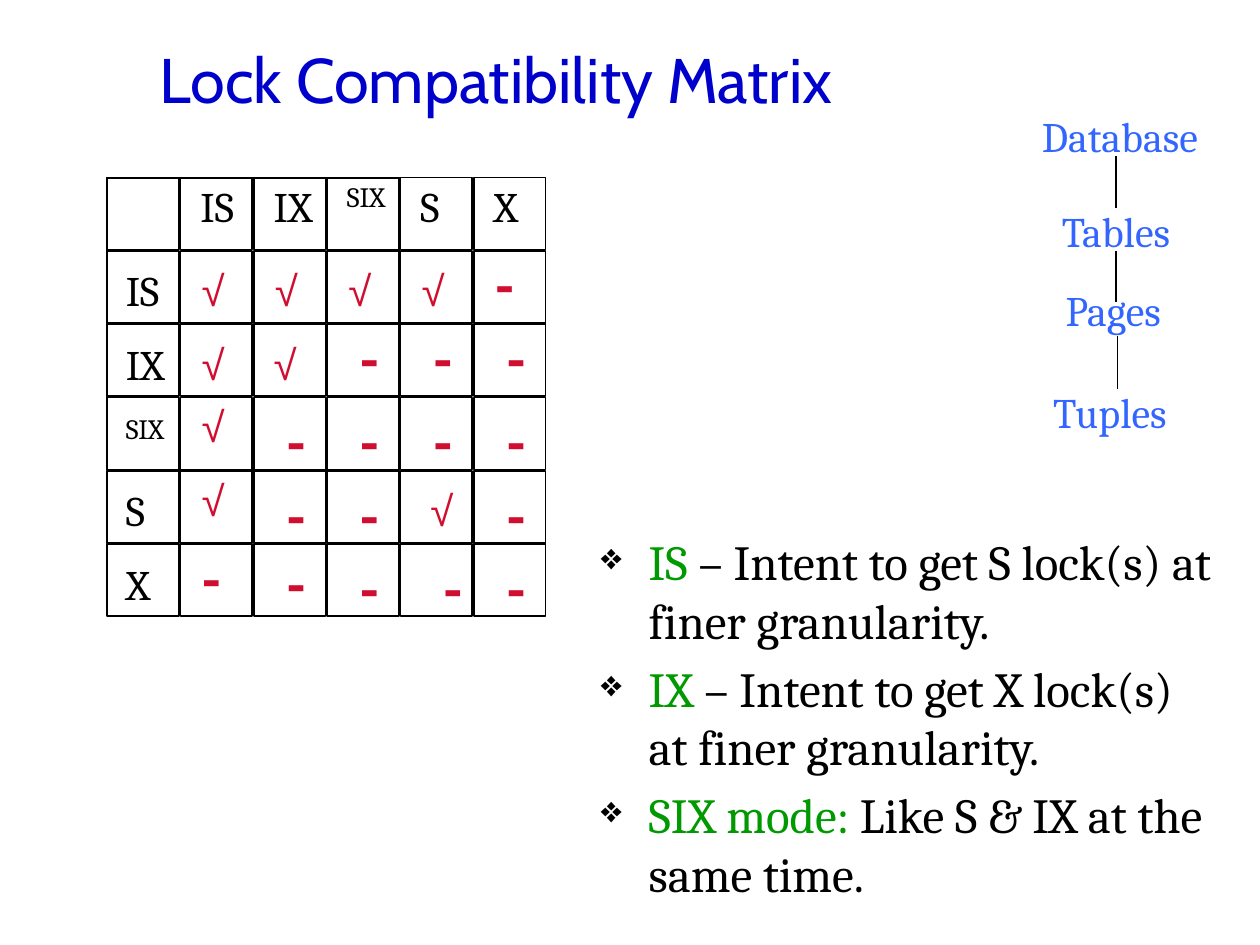
from lxml import etree
from pptx import Presentation
from pptx.dml.color import RGBColor
from pptx.enum.shapes import MSO_CONNECTOR, MSO_SHAPE
from pptx.enum.text import MSO_ANCHOR
from pptx.oxml.ns import qn
from pptx.util import Inches, Pt

COLORS = {"title": "0000CC", "ink": "000000", "term": "009900",
          "mark": "CF0E30", "level": "3366FF"}
TITLE = "Lock Compatibility Matrix"
MODES = ["IS", "IX", "SIX", "S", "X"]
MATRIX = ["√√√√-",
          "√√---",
          "√----",
          "√--√-",
          "-----"]
DEFINITIONS = [
    ("IS", " – Intent to get S lock(s) at finer granularity."),
    ("IX", " – Intent to get X lock(s) at finer granularity."),
    ("SIX mode: ", "Like S & IX at the same time."),
]
LEVELS = [("Database", 8.17, 0.83, 1.55), ("Tables", 8.33, 1.58, 1.15),
          ("Pages", 8.36, 2.21, 1.06), ("Tuples", 8.26, 3.02, 1.2)]
LINKS = [(8.86, 1.24, 1.65), (8.86, 1.99, 2.4), (8.87, 2.67, 3.09)]

GRID_LEFT, GRID_TOP, CELL = 0.85, 1.41, 0.57
PITCH = 2.91 / 5
LABEL_WIDTHS = {"IS": 0.49, "IX": 0.54, "SIX": 0.54, "S": 0.38, "X": 0.42}
DASH_RISE = [-0.11, -0.1, -0.03, -0.02, -0.02]
MARK_OFFSETS = {("IS", "X"): (0.07, -0.11), ("SIX", "IS"): (0.07, -0.03),
                ("S", "IS"): (0.07, -0.02), ("S", "S"): (0.14, 0.06),
                ("X", "IS"): (0.07, -0.1), ("X", "IX"): (0.16, -0.06),
                ("X", "S"): (0.24, -0.02), ("IX", "IX"): (0.06, 0.06)}

prs = Presentation()
prs.slide_width, prs.slide_height = Inches(10), Inches(7.5)
slide = prs.slides.add_slide(prs.slide_layouts[6])
shapes = slide.shapes


def style(run, size, color, font="Cambria", bold=None):
    run.font.size = Pt(size)
    run.font.name = font
    run.font.bold = bold
    run.font.color.rgb = RGBColor.from_string(COLORS[color])


def add_text(text, left, top, width, height, *look):
    box = shapes.add_textbox(*map(Inches, (left, top, width, height)))
    frame = box.text_frame
    frame.word_wrap = True
    frame.text = text
    for run in frame.paragraphs[0].runs:
        style(run, *look)
    return frame


def add_outline(left, top, size):
    square = shapes.add_shape(MSO_SHAPE.RECTANGLE,
                              *map(Inches, (left, top, size, size)))
    square.shadow.inherit = False
    square.fill.background()
    square.line.color.rgb = RGBColor.from_string(COLORS["ink"])
    square.line.width = Pt(1)


def add_label(mode, left, top):
    size, height = (16, 0.37) if mode == "SIX" else (24, 0.5)
    add_text(mode, left, top, LABEL_WIDTHS[mode], height, size, "ink")


def add_bullet(paragraph):
    props = paragraph._p.get_or_add_pPr()
    props.set("marL", str(Inches(0.38)))
    props.set("indent", str(-Inches(0.38)))
    color = etree.SubElement(props, qn("a:buClr"))
    etree.SubElement(color, qn("a:srgbClr"), val=COLORS["ink"])
    etree.SubElement(props, qn("a:buSzPct"), val="75000")
    etree.SubElement(props, qn("a:buChar"), char="❖")


title = add_text(TITLE, 1.17, 0, 8.5, 1.25, 36, "title", "Cabin")
title.vertical_anchor = MSO_ANCHOR.MIDDLE

definitions = add_text("", 4.67, 4.17, 5.08, 3.09)
for i, (term, meaning) in enumerate(DEFINITIONS):
    paragraph = definitions.add_paragraph() if i else definitions.paragraphs[0]
    paragraph.space_before = Pt(5)
    add_bullet(paragraph)
    for text, color in ((term, "term"), (meaning, "ink")):
        run = paragraph.add_run()
        run.text = text
        style(run, 28, color)

columns = [GRID_LEFT + i * PITCH for i in range(len(MODES) + 1)]
rows = [GRID_TOP + i * PITCH for i in range(len(MODES) + 1)]
add_outline(GRID_LEFT, GRID_TOP, 2.32)
for left in columns:
    for top in rows:
        add_outline(left, top, CELL)

for mode, left, top in zip(MODES, columns[1:], rows[1:]):
    add_label(mode, left + 0.06, GRID_TOP - 0.03)
    add_label(mode, GRID_LEFT + 0.05, top + 0.06)

for held, marks, top, rise in zip(MODES, MATRIX, rows[1:], DASH_RISE):
    for wanted, mark, left in zip(MODES, marks, columns[1:]):
        usual = (0.07, 0.06) if mark == "√" else (0.16, rise)
        dx, dy = MARK_OFFSETS.get((held, wanted), usual)
        if mark == "√":
            add_text(mark, left + dx, top + dy, 0.52, 0.5, 24, "mark", "Arial")
        else:
            add_text(mark, left + dx, top + dy, 0.25, 0.7,
                     36, "mark", "Cambria", True)

for level, left, top, width in LEVELS:
    add_text(level, left, top, width, 0.5, 24, "level")
for x, start, end in LINKS:
    link = shapes.add_connector(MSO_CONNECTOR.STRAIGHT,
                                *map(Inches, (x, start, x, end)))
    link.line.color.rgb = RGBColor.from_string(COLORS["ink"])
    link.line.width = Pt(1)
    etree.SubElement(link._element.spPr, qn("a:effectLst"))

prs.save("out.pptx")
